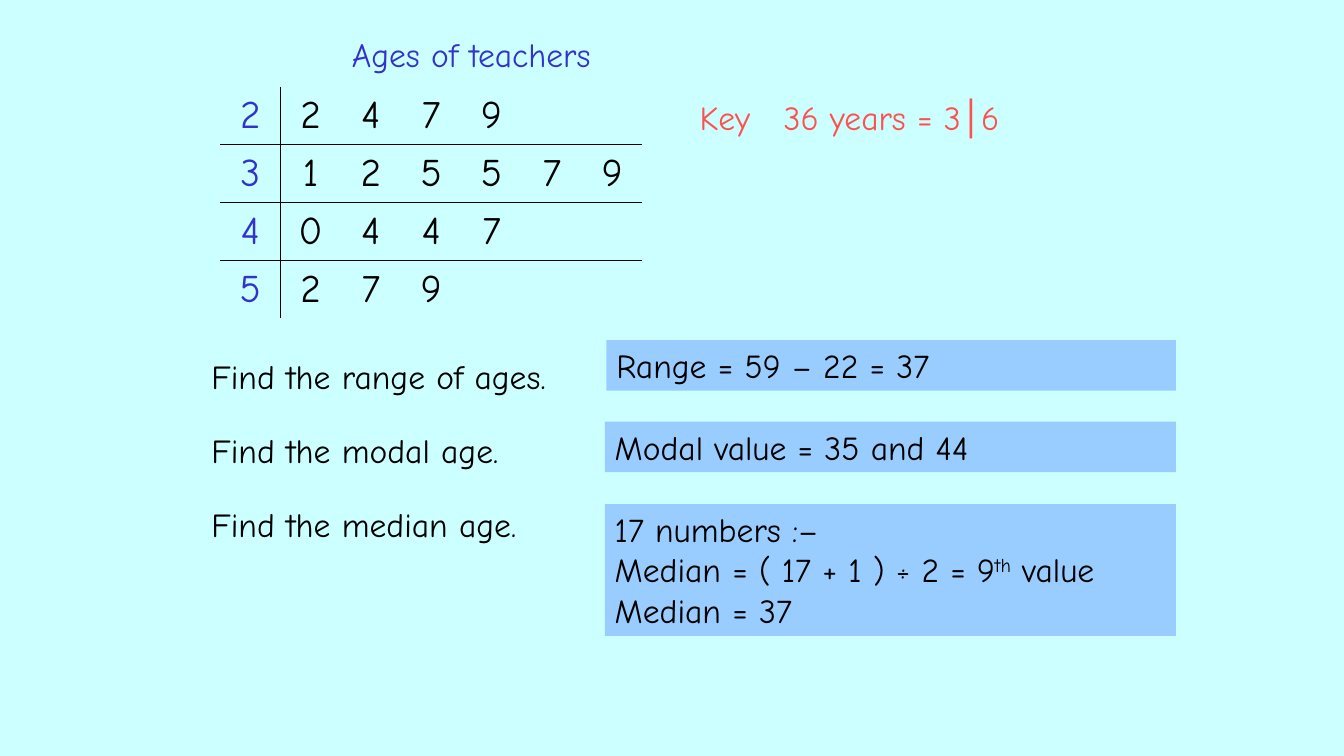
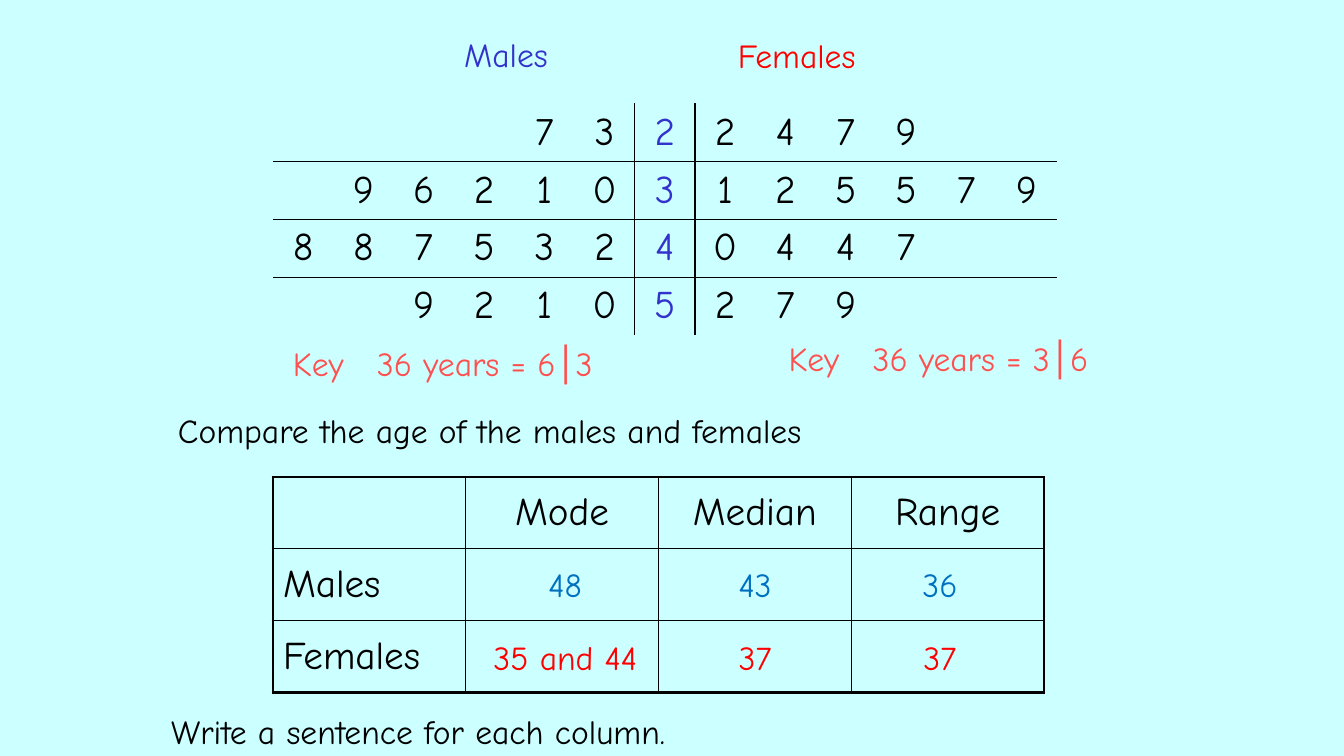
"""Build two slides on reading stem-and-leaf diagrams of ages."""
import dataclasses

import lxml.etree
import pptx
import pptx.dml.color
import pptx.enum.shapes
import pptx.enum.text
import pptx.oxml.ns
import pptx.util

ALIGN = pptx.enum.text.PP_ALIGN


@dataclasses.dataclass(frozen=True)
class Theme:
    font: str = "Comic Neue"
    paper: str = "CCFFFF"
    ink: str = "000000"
    stem: str = "3333CC"
    key: str = "FF5050"
    answer: str = "99CCFF"
    male: str = "0070C0"
    female: str = "FF0000"
    body: int = 24
    large: int = 28
    thin: float = 1
    thick: float = 2.25


THEME = Theme()
WIDTH = pptx.util.Inches(13.333)
HEIGHT = pptx.util.Inches(7.5)
COLUMNS, ROWS = 16, 9
KEY_TAB = 1
LINE_HEIGHT = 0.6


def across(columns):
    return round(WIDTH * columns / COLUMNS)


def down(rows):
    return round(HEIGHT * rows / ROWS)


def grid(left, top, width, height):
    return across(left), down(top), across(width), down(height)


def rgb(colour):
    return pptx.dml.color.RGBColor.from_string(colour)


def add_child(parent, tag, **attributes):
    return lxml.etree.SubElement(parent, pptx.oxml.ns.qn(tag), attributes)


def write(frame, text, *, colour=THEME.ink, size=THEME.body, align=ALIGN.LEFT, gap=0, tab=None):
    """Fill a frame line by line; text between carets is raised."""
    frame.word_wrap = True
    for number, line in enumerate(text.split("\n")):
        para = frame.add_paragraph() if number else frame.paragraphs[0]
        para.alignment = align
        if number and gap:
            para.space_before = pptx.util.Pt(gap)
        if tab:
            stops = add_child(para._p.get_or_add_pPr(), "a:tabLst")
            add_child(stops, "a:tab", pos=str(across(tab)), algn="l")
        for part, words in enumerate(line.split("^")):
            span = para.add_run()
            span.text = words
            span.font.name = THEME.font
            span.font.size = pptx.util.Pt(size)
            span.font.color.rgb = rgb(colour)
            if part % 2:
                span._r.get_or_add_rPr().set("baseline", "30000")


def add_text(page, place, text, **style):
    box = page.shapes.add_textbox(*grid(*place))
    write(box.text_frame, text, **style)


def add_key(page, left, top, example):
    add_text(page, (left, top, 4.2, LINE_HEIGHT), f"Key\t36 years = {example}",
             colour=THEME.key, tab=KEY_TAB)


def add_answer(page, place, text):
    box = page.shapes.add_shape(pptx.enum.shapes.MSO_SHAPE.RECTANGLE, *grid(*place))
    box.shadow.inherit = False
    box.fill.solid()
    box.fill.fore_color.rgb = rgb(THEME.answer)
    box.line.fill.background()
    box.text_frame.vertical_anchor = pptx.enum.text.MSO_ANCHOR.TOP
    write(box.text_frame, text)


def draw_edge(cell, side, weight):
    properties = cell._tc.get_or_add_tcPr()
    edge = add_child(properties, f"a:ln{side}", w=str(pptx.util.Pt(weight)))
    if weight:
        add_child(add_child(edge, "a:solidFill"), "a:srgbClr", val=THEME.ink)
    else:
        add_child(edge, "a:noFill")


def add_table(page, place, texts, style_at, row_lines, column_lines):
    """Add an even table whose line weights are listed from edge to edge."""
    rows, columns = len(texts), len(texts[0])
    left, top, width, height = grid(*place)
    table = page.shapes.add_table(rows, columns, left, top, width, height).table
    table.first_row = table.horz_banding = False
    for column in table.columns:
        column.width = width // columns
    for r, row in enumerate(table.rows):
        row.height = height // rows
        for c, cell in enumerate(row.cells):
            weights = {"L": column_lines[c], "R": column_lines[c + 1],
                       "T": row_lines[r], "B": row_lines[r + 1]}
            for side, weight in weights.items():
                draw_edge(cell, side, weight)
            cell.fill.background()
            cell.vertical_anchor = pptx.enum.text.MSO_ANCHOR.MIDDLE
            if texts[r][c].strip():
                write(cell.text_frame, texts[r][c], **style_at(r, c))


def add_stem_plot(page, place, stems, right_leaves, left_leaves=None):
    """Add a stem-and-leaf diagram, back to back when left leaves are given."""
    left_leaves = left_leaves or [""] * len(stems)
    before, after = (max(map(len, leaves)) for leaves in (left_leaves, right_leaves))
    texts = [low.rjust(before) + stem + high.ljust(after)
             for low, stem, high in zip(left_leaves, stems, right_leaves)]

    def style_at(_, column):
        return {"colour": THEME.stem if column == before else THEME.ink,
                "size": THEME.large, "align": ALIGN.CENTER}

    row_lines = [0] + [THEME.thin] * (len(stems) - 1) + [0]
    column_lines = [0] * (before + after + 2)
    column_lines[before + 1] = THEME.thin
    if before:
        column_lines[before] = THEME.thin
    add_table(page, place, texts, style_at, row_lines, column_lines)


def add_summary(page, place, headings, labels):
    """Add a framed table with headings, row labels and open cells."""
    texts = [("", *headings)] + [(label, *[""] * len(headings)) for label in labels]

    def style_at(_, column):
        return {"size": THEME.large, "align": ALIGN.CENTER if column else ALIGN.LEFT}

    row_lines, column_lines = (
        [THEME.thick] + [THEME.thin] * (count - 1) + [THEME.thick]
        for count in (len(texts), len(texts[0])))
    add_table(page, place, texts, style_at, row_lines, column_lines)


def add_values(page, lefts, top, values, colour):
    for left, value in zip(lefts, values):
        add_text(page, (left, top, 2.38, LINE_HEIGHT), value,
                 colour=colour, align=ALIGN.CENTER)


def build_teachers(page, stems, leaves):
    add_stem_plot(page, (2.62, 1.03, 5.03, 2.76), stems, leaves)
    add_key(page, 8.21, 1.1, "3│6")
    add_text(page, (2, 0.35, 7.22, LINE_HEIGHT), "Ages of teachers",
             colour=THEME.stem, align=ALIGN.CENTER)
    add_text(page, (2.4, 4.18, 4.7, 2.54),
             "Find the range of ages.\nFind the modal age.\nFind the median age.",
             gap=THEME.body)
    add_answer(page, (7.22, 4.05, 6.78, LINE_HEIGHT), "Range = 59 – 22 = 37")
    add_answer(page, (7.2, 5.02, 6.8, LINE_HEIGHT), "Modal value = 35 and 44")
    add_answer(page, (7.2, 6, 6.8, 1.57),
               "17 numbers :–\nMedian = ( 17 + 1 ) ÷ 2 = 9^th^ value\nMedian = 37")


def build_comparison(page, stems, males, females):
    add_stem_plot(page, (3.25, 1.23, 9.33, 2.76), stems, females, males)
    for left, top, text, colour in ((4.8, 0.35, "Males", THEME.stem),
                                    (8.26, 0.36, "Females", THEME.female)):
        add_text(page, (left, top, 2.45, LINE_HEIGHT), text,
                 colour=colour, align=ALIGN.CENTER)
    add_key(page, 3.37, 4.02, "6│3")
    add_key(page, 9.27, 3.96, "3│6")
    add_text(page, (2, 4.82, 12, LINE_HEIGHT), "Compare the age of the males and females")
    add_summary(page, (3.25, 5.68, 9.18, 2.56),
                ("Mode", "Median", "Range"), ("Males", "Females"))
    value_lefts = (5.54, 7.8, 10)
    add_values(page, value_lefts, 6.66, ("48", "43", "36"), THEME.male)
    add_values(page, value_lefts, 7.52, ("35 and 44", "37", "37"), THEME.female)
    add_text(page, (1.92, 8.4, 12, LINE_HEIGHT), "Write a sentence for each column.")


def main():
    deck = pptx.Presentation()
    deck.slide_width, deck.slide_height = WIDTH, HEIGHT
    paper = deck.slide_master.background.fill
    paper.solid()
    paper.fore_color.rgb = rgb(THEME.paper)
    blank = deck.slide_layouts[6]
    stems = "2345"
    females = ["2479", "125579", "0447", "279"]
    males = ["73", "96210", "887532", "9210"]
    build_teachers(deck.slides.add_slide(blank), stems, females)
    build_comparison(deck.slides.add_slide(blank), stems, males, females)
    deck.save("out.pptx")


if __name__ == "__main__":
    main()
